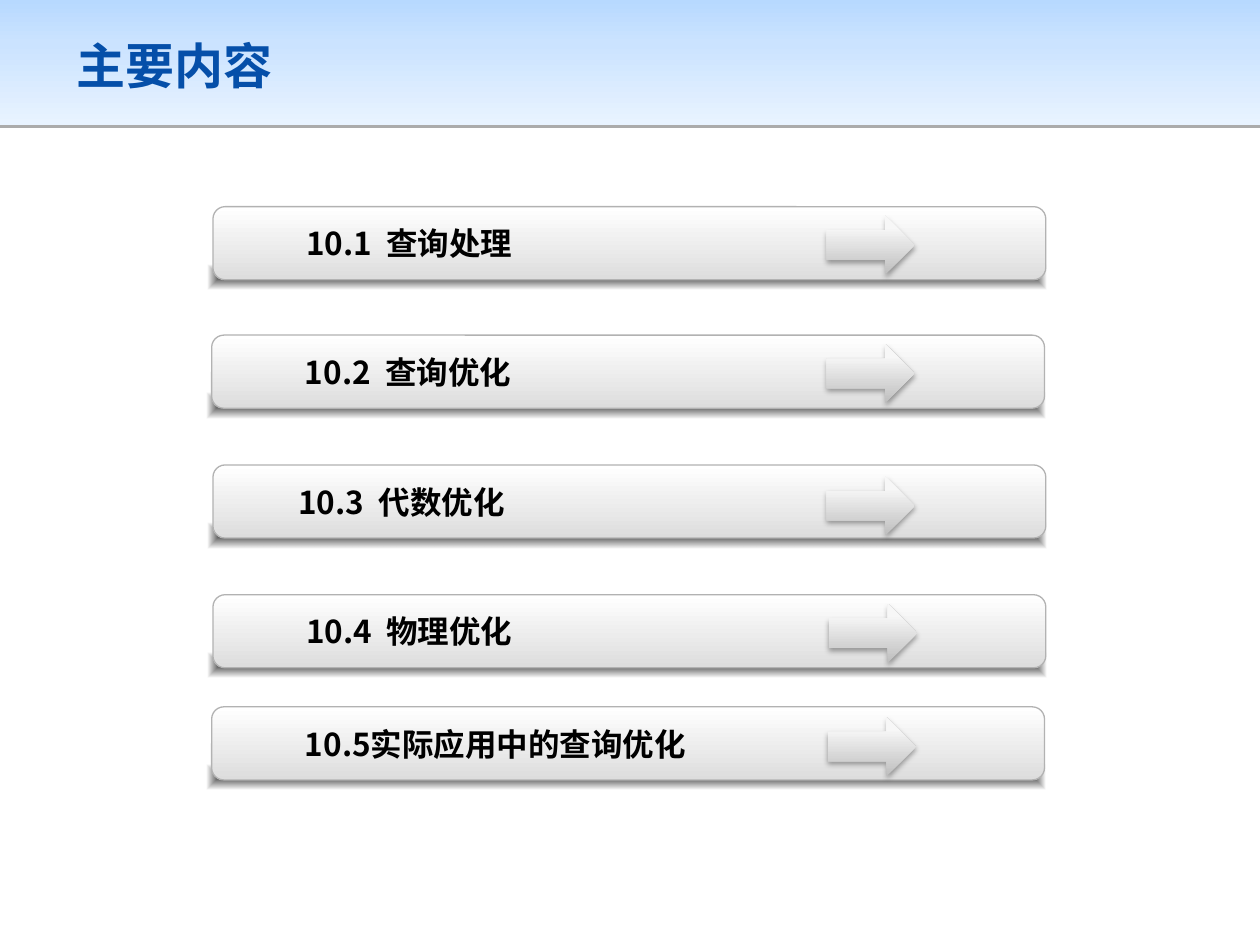
"""Build the chapter contents slide with five labelled bars."""
from dataclasses import dataclass

from lxml import etree
from pptx import Presentation
from pptx.dml.color import RGBColor
from pptx.enum.shapes import MSO_SHAPE
from pptx.enum.text import MSO_ANCHOR, PP_ALIGN
from pptx.oxml.ns import nsdecls, qn
from pptx.util import Pt

RECTANGLE = MSO_SHAPE.RECTANGLE
ROUNDED = MSO_SHAPE.ROUNDED_RECTANGLE
ARROW = MSO_SHAPE.RIGHT_ARROW
MIDDLE = MSO_ANCHOR.MIDDLE
LEFT = PP_ALIGN.LEFT
LABEL_FONT = "Noto Sans CJK SC"
DOWNWARD = '<a:lin ang="5400000" scaled="0"/>'
UPWARD = '<a:lin ang="16200000" scaled="0"/>'
FROM_CENTER = ('<a:path path="shape"><a:fillToRect l="50000" t="50000" '
               'r="50000" b="50000"/></a:path>')


@dataclass
class Gradient:
    stops: list[tuple[int, str, int]]
    direction: str


@dataclass
class Shadow:
    opacity: int
    blur: float
    distance: float


@dataclass
class Entry:
    label: str
    left: float
    top: float
    arrow_left: float
    arrow_top: float
    inset: float = 11.52


HEADER = Gradient([(0, "B7D9FF", 100), (35, "CBE3FF", 100), (100, "E8F3FF", 100)], DOWNWARD)
BAR = Gradient([(0, "FFFFFF", 100), (100, "DDDDDD", 100)], DOWNWARD)
GLOW = Gradient([(0, "000000", 70), (100, "000000", 0)], FROM_CENTER)
SILVER = Gradient([(0, "BEBEBE", 100), (80, "F7F7F7", 100), (100, "F8F8F8", 100)], UPWARD)
HEADER_SHADOW = Shadow(33, 0, 1.6)
ARROW_SHADOW = Shadow(35, 3.1, 1.8)

ENTRIES = [
    Entry("10.1  查询处理", 121.68, 118.08, 472.32, 123.12),
    Entry("10.2  查询优化", 120.96, 191.52, 472.32, 196.56),
    Entry("10.3  代数优化", 121.68, 265.68, 472.32, 272.16, inset=7.2),
    Entry("10.4  物理优化", 121.68, 339.84, 473.76, 344.88),
    Entry("10.5实际应用中的查询优化", 120.96, 403.92, 473.04, 409.68),
]


def color(value: str) -> RGBColor:
    """Turn a hex string into a colour."""
    return RGBColor.from_string(value)


def color_xml(value: str, opacity: int) -> str:
    """Return the markup of a colour with its opacity in percent."""
    return f'<a:srgbClr val="{color(value)}"><a:alpha val="{opacity * 1000}"/></a:srgbClr>'


def fill_gradient(shape, gradient: Gradient) -> None:
    """Fill a shape with a gradient."""
    stops = "".join(f'<a:gs pos="{place * 1000}">{color_xml(value, opacity)}</a:gs>'
                    for place, value, opacity in gradient.stops)
    markup = (f'<a:gradFill {nsdecls("a")} rotWithShape="1"><a:gsLst>{stops}</a:gsLst>'
              f'{gradient.direction}</a:gradFill>')
    properties = shape.element.spPr
    properties.replace(properties.find(qn("a:noFill")), etree.fromstring(markup))


def cast_shadow(shape, shadow: Shadow) -> None:
    """Add a shadow that falls straight down."""
    markup = (f'<a:outerShdw {nsdecls("a")} blurRad="{Pt(shadow.blur)}" '
              f'dist="{Pt(shadow.distance)}" dir="5400000" algn="t" rotWithShape="0">'
              f'{color_xml("000000", shadow.opacity)}</a:outerShdw>')
    shape.element.spPr.find(qn("a:effectLst")).append(etree.fromstring(markup))


def add_panel(page, kind, left: float, top: float, width: float, height: float,
              gradient: Gradient | None = None, shadow: Shadow | None = None):
    """Add a shape without outline, with optional gradient and shadow."""
    shape = page.shapes.add_shape(kind, Pt(left), Pt(top), Pt(width), Pt(height))
    shape.shadow.inherit = False
    shape.fill.background()
    shape.line.fill.background()
    if gradient:
        fill_gradient(shape, gradient)
    if shadow:
        cast_shadow(shape, shadow)
    return shape


def write(frame, text: str, size: float, font: str, value: str):
    """Write one bold, left-aligned paragraph in the middle of a frame."""
    frame.vertical_anchor = MIDDLE
    paragraph = frame.paragraphs[0]
    paragraph.alignment = LEFT
    span = paragraph.add_run()
    span.text = text
    span.font.size = Pt(size)
    span.font.bold = True
    span.font.name = font
    span.font.color.rgb = color(value)
    east_asian = etree.SubElement(span.font._element, qn("a:ea"))
    east_asian.set("typeface", LABEL_FONT)
    return paragraph


def add_entry(page, entry: Entry) -> None:
    """Draw one bar with its glow, label and arrow."""
    add_panel(page, RECTANGLE, entry.left - 2.88, entry.top + 33.12, 479.52, 14.4, GLOW)
    bar = add_panel(page, ROUNDED, entry.left, entry.top, 475.92, 41.76, BAR)
    bar.line.color.rgb = color("B2B2B2")
    bar.line.width = Pt(0.75)
    label = add_panel(page, ROUNDED, entry.left + 5.76, entry.top, 425.52, 41.76)
    label.adjustments[0] = 0
    frame = label.text_frame
    frame.word_wrap = False
    frame.margin_left = Pt(entry.inset)
    paragraph = write(frame, entry.label, 18, LABEL_FONT, "000000")
    paragraph.level = 1
    settings = paragraph._p.get_or_add_pPr()
    settings.set("marL", str(Pt(36)))
    settings.set("indent", "0")
    add_panel(page, ARROW, entry.arrow_left, entry.arrow_top, 50.4, 33.84,
              SILVER, ARROW_SHADOW)


def main() -> None:
    """Create and save the deck."""
    deck = Presentation()
    deck.slide_width, deck.slide_height = Pt(720), Pt(540)
    page = deck.slides.add_slide(deck.slide_layouts[5])
    header = add_panel(page, RECTANGLE, 0, 0, 720, 71.28, HEADER, HEADER_SHADOW)
    title = page.shapes.title
    title.element.addprevious(header.element)
    title.left, title.top = Pt(36.72), Pt(11.52)
    title.width, title.height = Pt(646.56), Pt(51.12)
    write(title.text_frame, "主要内容", 28, "Arial", "054FA9")
    for entry in ENTRIES:
        add_entry(page, entry)
    deck.save("out.pptx")


if __name__ == "__main__":
    main()
